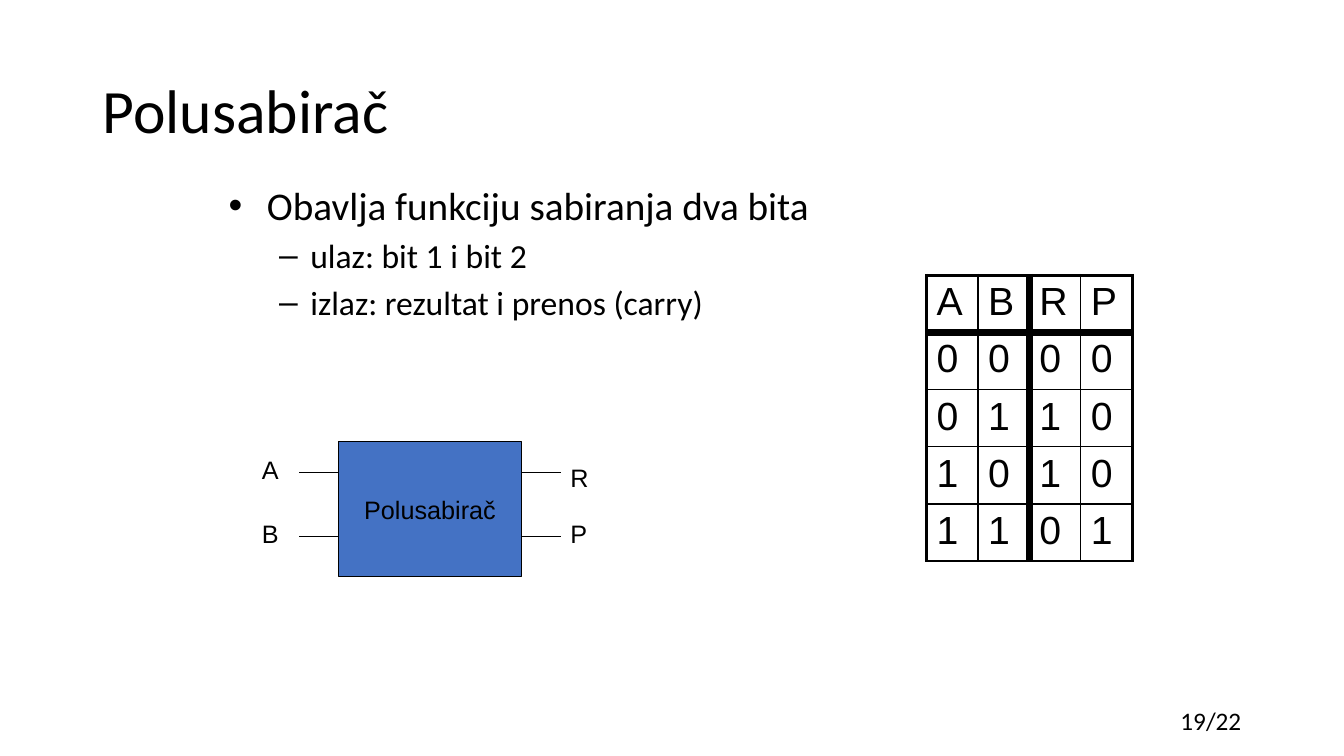
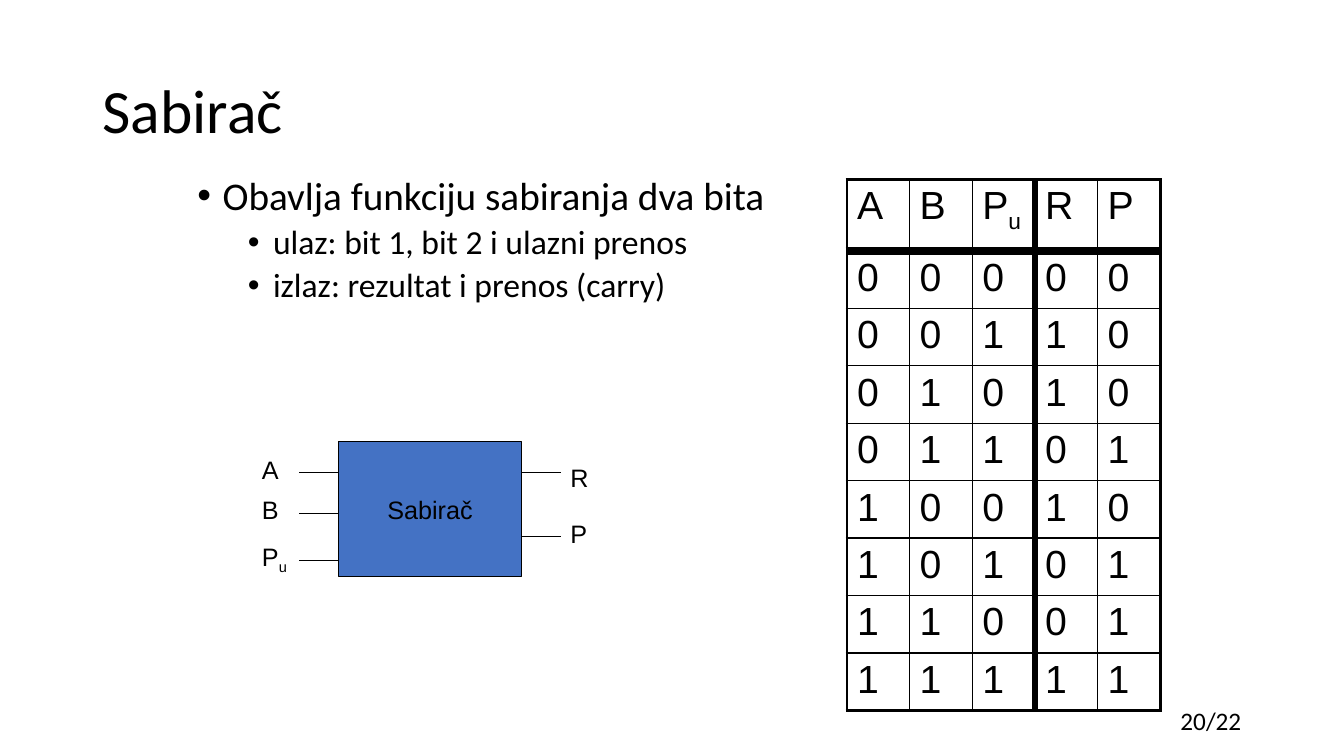
from itertools import product

from lxml.etree import SubElement
from pptx import Presentation
from pptx.dml.color import RGBColor
from pptx.enum.shapes import MSO_CONNECTOR, MSO_SHAPE
from pptx.enum.text import MSO_ANCHOR as ANCHOR, PP_ALIGN as ALIGN
from pptx.oxml.ns import qn
from pptx.util import Inches, Pt

BLACK = RGBColor(0x00, 0x00, 0x00)
BLUE = RGBColor(0x44, 0x72, 0xC4)
HEAD_FONT = "Calibri"
DIAGRAM_FONT = "Arial"
SLIDE_TOTAL = 22

TITLE_BOX = (0.92, 0.4, 11.5, 1.45)
NUMBER_BOX = (9.34, 6.95, 3.07, 0.4)
BLOCK_BOX = (3.36, 4.38, 1.81, 1.34)
STUB = 0.39
LABEL_W, LABEL_H = 0.47, 0.4
# Each pin is (name, wire offset, label offset), measured from the block's top
OUTPUTS = [("R", 0.31, 0.16), ("P", 0.94, 0.71)]
THIN, OUTER, HEADER_RULE = 1, 2.25, 6


def add_run(p, text, size, font):
    """Add one black run to a paragraph."""
    r = p.add_run()
    r.text = text
    r.font.size = Pt(size)
    r.font.name = font
    r.font.color.rgb = BLACK
    return r


def add_name(p, name, size):
    """Add a signal name; whatever follows an underscore is subscript."""
    base, _, sub = name.partition("_")
    add_run(p, base, size, DIAGRAM_FONT)
    if sub:
        r = add_run(p, sub, size, DIAGRAM_FONT)
        r.font._element.set("baseline", "-25000")


def add_box(s, box, anchor=ANCHOR.TOP):
    """Add a wrapping text box and return its text frame."""
    tf = s.shapes.add_textbox(*map(Inches, box)).text_frame
    tf.word_wrap = True
    tf.vertical_anchor = anchor
    return tf


def add_frame(prs, title, number):
    """Add a slide with its title and page number."""
    s = prs.slides.add_slide(prs.slide_layouts[6])
    p = add_box(s, TITLE_BOX, ANCHOR.MIDDLE).paragraphs[0]
    p.line_spacing = 0.9
    add_run(p, title, 44, HEAD_FONT)
    p = add_box(s, NUMBER_BOX).paragraphs[0]
    p.alignment = ALIGN.RIGHT
    add_run(p, f"{number}/{SLIDE_TOTAL}", 18, HEAD_FONT)
    return s


def add_bullets(s, box, lines, styles, line_spacing):
    """Add a two-level list; a style is (margin, hang, space before, mark)."""
    tf = add_box(s, box)
    for i, text in enumerate(lines):
        p = tf.add_paragraph() if i else tf.paragraphs[0]
        p.level = min(i, 1)
        margin, hang, before, mark = styles[p.level]
        p.line_spacing = line_spacing
        p.space_before = Pt(before)
        pPr = p._p.get_or_add_pPr()
        pPr.set("marL", str(Inches(margin)))
        pPr.set("indent", str(-Inches(hang)))
        SubElement(pPr, qn("a:buFont")).set("typeface", "Arial")
        SubElement(pPr, qn("a:buChar")).set("char", mark)
        add_run(p, text, (28, 24)[p.level], HEAD_FONT)


def add_wire(s, x, y):
    """Add a horizontal stub starting at x."""
    wire = s.shapes.add_connector(
        MSO_CONNECTOR.STRAIGHT, *map(Inches, (x, y, x + STUB, y)))
    wire.line.color.rgb = BLACK
    wire.line.width = Pt(0.75)
    SubElement(wire._element.spPr, qn("a:effectLst"))


def add_block(s, box, name, inputs, outputs):
    """Add the circuit block with its input and output pins."""
    left, top, width, _ = box
    sp = s.shapes.add_shape(MSO_SHAPE.RECTANGLE, *map(Inches, box))
    sp.shadow.inherit = False
    sp.fill.solid()
    sp.fill.fore_color.rgb = BLUE
    sp.line.color.rgb = BLACK
    sp.line.width = Pt(0.75)
    tf = sp.text_frame
    tf.word_wrap = False
    tf.vertical_anchor = ANCHOR.MIDDLE
    p = tf.paragraphs[0]
    p.alignment = ALIGN.CENTER
    add_run(p, name, 18, DIAGRAM_FONT)

    right = left + width
    sides = [(inputs, left - STUB, left - STUB - LABEL_W),
             (outputs, right, right + STUB)]
    for pins, wire_x, label_x in sides:
        for pin, wire_dy, label_dy in pins:
            add_wire(s, wire_x, top + wire_dy)
            tf = add_box(s, (label_x, top + label_dy, LABEL_W, LABEL_H))
            add_name(tf.paragraphs[0], pin, 18)


def set_borders(cell, widths):
    """Set the left, right, top and bottom borders of a cell, in points."""
    tcPr = cell._tc.get_or_add_tcPr()
    for side, width in zip("LRTB", widths):
        ln = SubElement(tcPr, qn(f"a:ln{side}"))
        ln.set("w", str(Pt(width)))
        fill = SubElement(ln, qn("a:solidFill"))
        SubElement(fill, qn("a:srgbClr")).set("val", str(BLACK))


def add_truth_table(s, box, inputs, head_h, row_h, divider):
    """Add the adder's truth table, with a heavy rule before the outputs."""
    rows = [inputs + ["R", "P"]]
    for bits in product((0, 1), repeat=len(inputs)):
        rows.append([*bits, sum(bits) % 2, sum(bits) // 2])
    n_rows, n_cols = len(rows), len(rows[0])

    table = s.shapes.add_table(n_rows, n_cols, *map(Inches, box)).table
    table.first_row = table.horz_banding = False
    for col in table.columns:
        col.width = Inches(box[2] / n_cols)
    for i, row in enumerate(table.rows):
        row.height = Inches(row_h if i else head_h)

    v_rules = [OUTER] + [THIN] * (n_cols - 1) + [OUTER]
    v_rules[len(inputs)] = divider
    h_rules = [OUTER, HEADER_RULE] + [THIN] * (n_rows - 2) + [OUTER]
    for i, values in enumerate(rows):
        for j, value in enumerate(values):
            cell = table.cell(i, j)
            set_borders(cell, v_rules[j:j + 2] + h_rules[i:i + 2])
            cell.fill.background()
            add_name(cell.text_frame.paragraphs[0], str(value), 28)


def half_adder_slide(prs):
    """Build the half adder slide."""
    s = add_frame(prs, "Polusabirač", 19)
    add_bullets(s, (2.17, 1.75, 8.83, 1.61),
                ["Obavlja funkciju sabiranja dva bita",
                 "ulaz: bit 1 i bit 2",
                 "izlaz: rezultat i prenos (carry)"],
                [(0.38, 0.38, 5.6, "•"), (0.81, 0.31, 4.8, "–")], 1.0)
    add_truth_table(s, (9.19, 2.73, 2.04, 2.83), ["A", "B"],
                    head_h=0.51, row_h=0.51, divider=6)
    add_block(s, BLOCK_BOX, "Polusabirač",
              [("A", 0.31, 0.08), ("B", 0.94, 0.71)], OUTPUTS)


def full_adder_slide(prs):
    """Build the full adder slide."""
    s = add_frame(prs, "Sabirač", 20)
    add_bullets(s, (1.86, 1.7, 8.83, 1.61),
                ["Obavlja funkciju sabiranja dva bita",
                 "ulaz: bit 1, bit 2 i ulazni prenos",
                 "izlaz: rezultat i prenos (carry)"],
                [(0.25, 0.25, 10, "•"), (0.75, 0.25, 5, "•")], 0.9)
    add_truth_table(s, (8.4, 1.78, 3.11, 5.24), ["A", "B", "P_u"],
                    head_h=0.71, row_h=0.57, divider=4.5)
    add_block(s, BLOCK_BOX, "Sabirač",
              [("A", 0.31, 0.08), ("B", 0.71, 0.47), ("P_u", 1.18, 0.94)],
              OUTPUTS)


prs = Presentation()
prs.slide_width, prs.slide_height = Inches(13.33), Inches(7.5)
half_adder_slide(prs)
full_adder_slide(prs)
prs.save("out.pptx")
